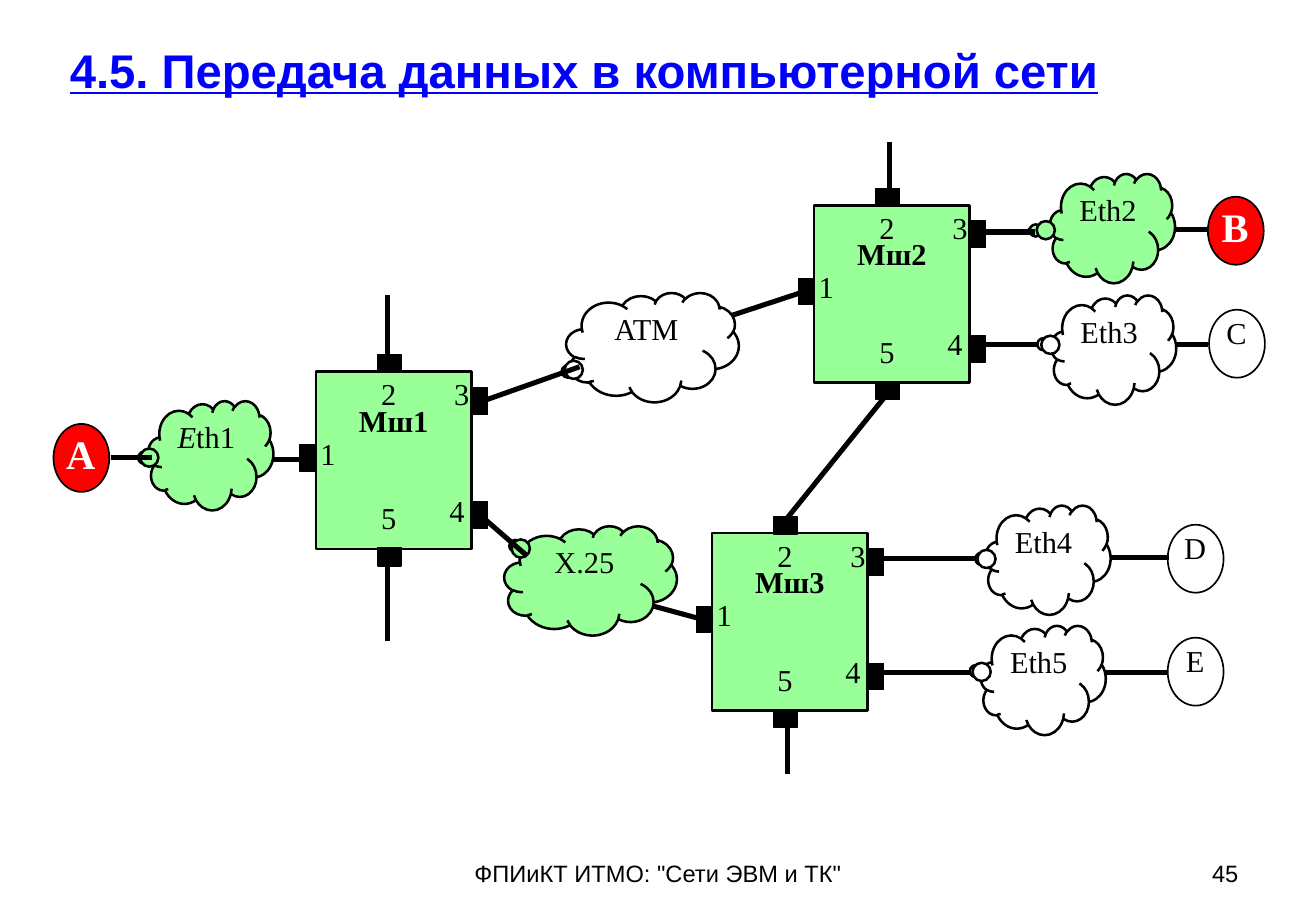
from pptx import Presentation
from pptx.dml.color import RGBColor
from pptx.enum.shapes import MSO_CONNECTOR, MSO_SHAPE
from pptx.enum.text import MSO_ANCHOR, PP_ALIGN
from pptx.oxml.ns import qn
from pptx.util import Inches, Pt
from lxml import etree

RECT, OVAL, CLOUD = MSO_SHAPE.RECTANGLE, MSO_SHAPE.OVAL, MSO_SHAPE.CLOUD_CALLOUT
LINE = MSO_CONNECTOR.STRAIGHT
TOP, MIDDLE = MSO_ANCHOR.TOP, MSO_ANCHOR.MIDDLE
CENTER, RIGHT = PP_ALIGN.CENTER, PP_ALIGN.RIGHT
SERIF, SANS = "Times New Roman", "Arial"
COLORS = {"black": "000000", "white": "FFFFFF", "green": "99FF99",
          "red": "FF0000", "blue": "0000FF"}
NONE = (0, 0, 0, 0)
USUAL = (0.1, 0.05, 0.1, 0.05)

# Port number: (port box, label place), both relative to the router
WIDE, TALL = (0.19, 0.15), (0.13, 0.22)
PORTS = {
    1: ((-0.13, 0.6, *TALL), (-0.02, 0.52)),
    2: ((0.51, -0.14, *WIDE), (0.48, 0.03)),
    3: ((1.28, 0.13, *TALL), (1.08, 0.03)),
    4: ((1.28, 1.07, *TALL), (1.04, 0.99)),
    5: ((0.51, 1.45, *WIDE), (0.48, 1.05)),
}
ROUTERS = [("Мш1", 2.6, 3.06), ("Мш2", 6.7, 1.69), ("Мш3", 5.86, 4.39)]
HOSTS = [("А", 0.44, 3.49, True), ("B", 9.94, 1.62, True), ("C", 9.95, 2.55, False),
         ("D", 9.61, 4.32, False), ("E", 9.61, 5.25, False)]
# Runs of the name, left, top, width, fill, callout tip
CLOUDS = [
    (["ATM"], 4.66, 2.41, 1.42, "white", (-0.492, 0.222)),
    (["E", "th1"], 1.22, 3.3, 1.03, "green", (-0.523, 0.021)),
    (["Х.25"], 4.15, 4.33, 1.42, "green", (-0.435, -0.315)),
    (["Eth2"], 8.64, 1.43, 1.03, "green", (-0.646, 0.021)),
    (["Eth3"], 8.65, 2.43, 1.03, "white", (-0.568, -0.051)),
    (["Eth4"], 8.11, 4.16, 1.03, "white", (-0.523, -0.009)),
    (["Eth5"], 8.07, 5.15, 1.03, "white", (-0.535, -0.082)),
]
# Links that pass behind the clouds
BACK = [
    (5.23, 4.95, 5.82, 5.11), (2.03, 3.78, 2.53, 3.78), (5.83, 2.66, 6.62, 2.4),
    (7.32, 3.22, 6.45, 4.3), (7.2, 4.6, 8.18, 4.6), (9.08, 4.59, 9.62, 4.59),
    (7.19, 5.54, 8.15, 5.54), (9.04, 5.54, 9.61, 5.54), (9.59, 1.89, 9.93, 1.89),
    (8.05, 2.84, 8.64, 2.84), (9.54, 2.84, 9.94, 2.84), (3.19, 2.96, 3.19, 2.43),
    (3.19, 4.6, 3.19, 5.28), (7.32, 1.17, 7.32, 1.58), (6.48, 5.93, 6.48, 6.37),
]
# Links that end on top of a cloud
FRONT = [(3.95, 3.31, 4.77, 3.02), (0.91, 3.77, 1.25, 3.77),
         (3.95, 4.24, 4.33, 4.57), (8.06, 1.91, 8.52, 1.91)]


def rgb(name):
    return RGBColor.from_string(COLORS[name])


def write(shape, runs, size, color="black", face=SERIF, bold=False,
          align=CENTER, anchor=TOP, pads=NONE):
    """Put one paragraph of runs into a shape and return it."""
    frame = shape.text_frame
    frame.word_wrap = True
    frame.vertical_anchor = anchor
    (frame.margin_left, frame.margin_top,
     frame.margin_right, frame.margin_bottom) = map(Inches, pads)
    para = frame.paragraphs[0]
    para.alignment = align
    for part in runs:
        para.add_run().text = part
    font = para.font
    font.name, font.size, font.bold = face, Pt(size), bold
    font.color.rgb = rgb(color)
    return para


def label(slide, box, text, size, **style):
    area = slide.shapes.add_textbox(*map(Inches, box))
    return write(area, [text], size, **style)


def draw(slide, kind, box, fill, weight):
    """Add a filled preset shape with a black outline."""
    shape = slide.shapes.add_shape(kind, *map(Inches, box))
    shape.shadow.inherit = False
    shape.fill.solid()
    shape.fill.fore_color.rgb = rgb(fill)
    shape.line.color.rgb = rgb("black")
    shape.line.width = Pt(weight)
    return shape


def link(slide, ends):
    wire = slide.shapes.add_connector(LINE, *map(Inches, ends))
    wire.line.color.rgb = rgb("black")
    wire.line.width = Pt(3)
    etree.SubElement(wire._element.spPr, qn("a:effectLst"))


def router(slide, name, left, top):
    body = draw(slide, RECT, (left, top, 1.28, 1.46), "green", 1.5)
    write(body, [name], 18, bold=True, pads=(0.02, 0.25, 0.02, 0.01))
    for num, ((px, py, wide, high), (tx, ty)) in PORTS.items():
        draw(slide, RECT, (left + px, top + py, wide, high), "black", 0.75)
        label(slide, (left + tx, top + ty, 0.24, 0.4), str(num), 18)


def host(slide, name, left, top, active):
    draw(slide, OVAL, (left, top, 0.46, 0.56), "red" if active else "white", 1)
    label(slide, (left + 0.02, top + 0.04, 0.41, 0.46), name, 24 if active else 18,
          color="white" if active else "black", bold=active)


def cloud(slide, runs, left, top, wide, fill, tip):
    shape = draw(slide, CLOUD, (left, top, wide, 0.9), fill, 1.5)
    shape.adjustments[0], shape.adjustments[1] = tip
    para = write(shape, runs, 18, pads=(0.02, 0.01, 0.02, 0.01))
    if len(runs) > 1:
        para.runs[0].font.italic = True


def network(slide):
    for item in ROUTERS:
        router(slide, *item)
    for item in HOSTS:
        host(slide, *item)
    for ends in BACK:
        link(slide, ends)
    for item in CLOUDS:
        cloud(slide, *item)
    for ends in FRONT:
        link(slide, ends)


def frame(slide):
    """Title, footer and page number."""
    title = label(slide, (0.35, 0.05, 8.91, 1.04),
                  "4.5. Передача данных в компьютерной сети", 28, color="blue",
                  face=SANS, bold=True, anchor=MIDDLE, pads=USUAL)
    title.font.underline = True
    label(slide, (3.7, 7.02, 3.43, 0.33), 'ФПИиКТ ИТМО: "Сети ЭВМ и ТК"', 14,
          face=SANS, pads=USUAL)
    label(slide, (7.76, 7.02, 2.53, 0.33), "45", 14, face=SANS, align=RIGHT, pads=USUAL)


def main():
    deck = Presentation()
    deck.slide_width, deck.slide_height = Inches(10.83), Inches(7.5)
    slide = deck.slides.add_slide(deck.slide_layouts[6])
    frame(slide)
    network(slide)
    deck.save("out.pptx")


if __name__ == "__main__":
    main()
